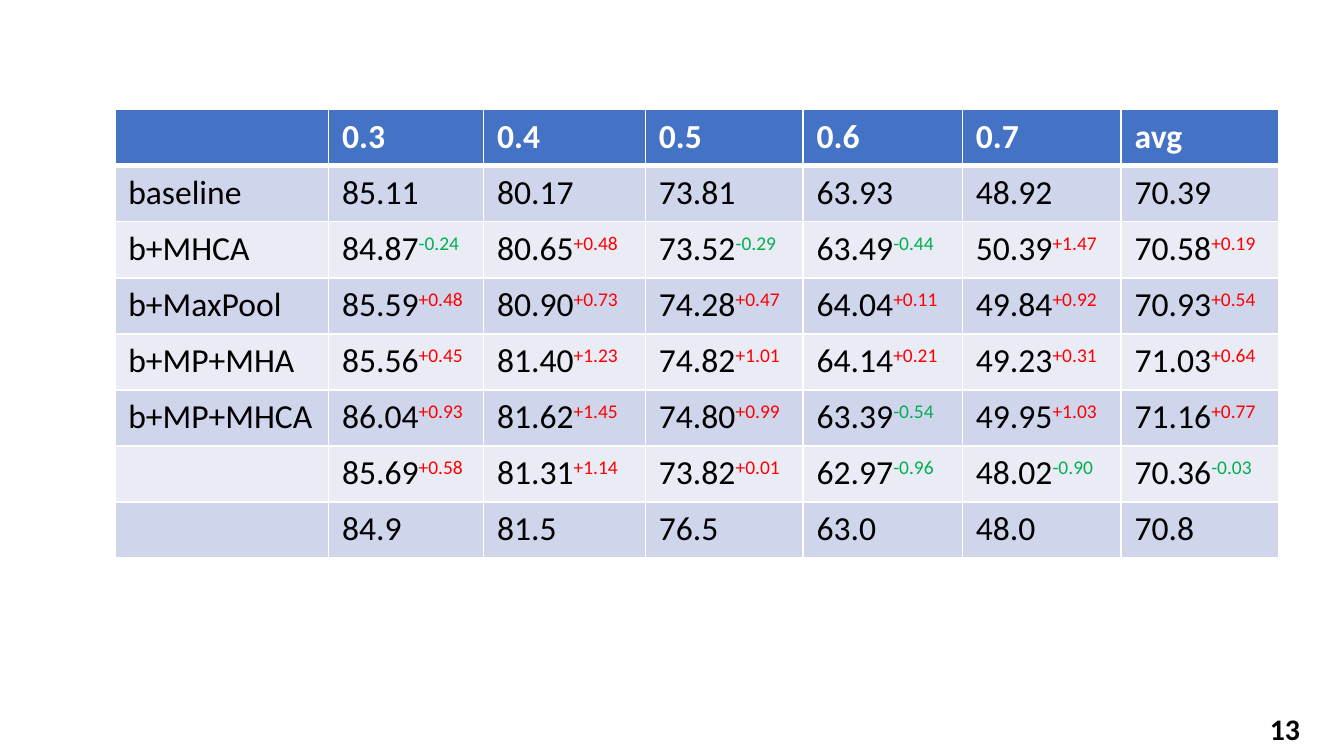
from lxml.etree import SubElement
from pptx import Presentation
from pptx.dml.color import RGBColor
from pptx.oxml.ns import qn
from pptx.util import Cm, Pt


def rgb(value):
    return RGBColor.from_string(value)


def add_border(cell, side, width):
    ln = SubElement(cell._tc.get_or_add_tcPr(), qn(f"a:ln{side}"), w=str(Pt(width)))
    fill = SubElement(ln, qn("a:solidFill"))
    SubElement(fill, qn("a:srgbClr"), val="FFFFFF")


prs = Presentation()
prs.slide_width, prs.slide_height = Cm(25.4), Cm(14.29)
s = prs.slides.add_slide(prs.slide_layouts[6])

rows = [
    ["", "0.3", "0.4", "0.5", "0.6", "0.7", "avg"],
    ["baseline", "85.11", "80.17", "73.81", "63.93", "48.92", "70.39"],
    ["b+MHCA", "84.87", "80.65", "73.52", "63.49", "50.39", "70.58"],
    ["b+MaxPool", "85.59", "80.90", "74.28", "64.04", "49.84", "70.93"],
    ["b+MP+MHA", "85.56", "81.40", "74.82", "64.14", "49.23", "71.03"],
    ["b+MP+MHCA", "86.04", "81.62", "74.80", "63.39", "49.95", "71.16"],
    ["", "85.69", "81.31", "73.82", "62.97", "48.02", "70.36"],
    ["", "84.9", "81.5", "76.5", "63.0", "48.0", "70.8"],
]
baseline = rows[1]
compared_rows = range(2, 7)
col_widths = [4.04, 2.93, 3.06, 2.98, 3.01, 3.0, 2.98]
row_height = 1.06

table = s.shapes.add_table(
    len(rows), len(col_widths), Cm(2.17), Cm(2.07),
    Cm(sum(col_widths)), Cm(row_height * len(rows)),
).table
for col, width in zip(table.columns, col_widths):
    col.width = Cm(width)
for row in table.rows:
    row.height = Cm(row_height)

for i, values in enumerate(rows):
    header = i == 0
    for j, value in enumerate(values):
        cell = table.cell(i, j)
        for side in "LRTB":
            thick = (header and side == "B") or (i == 1 and side == "T")
            add_border(cell, side, 3 if thick else 1)
        cell.fill.solid()
        band = "CFD5EA" if i % 2 else "E9EBF5"
        cell.fill.fore_color.rgb = rgb("4472C4" if header else band)

        p = cell.text_frame.paragraphs[0]
        p.font.name, p.font.size, p.font.bold = "Calibri", Pt(18), header
        p.font.color.rgb = rgb("FFFFFF" if header else "000000")
        if value:
            p.add_run().text = value
        if i in compared_rows and j > 0:
            change = float(value) - float(baseline[j])
            r = p.add_run()
            r.text = f"{change:+.2f}"
            r.font.color.rgb = rgb("FF0000" if change > 0 else "00B050")
            r.font._element.set("baseline", "30000")

page_number = s.shapes.add_textbox(Cm(23.75), Cm(13.31), Cm(1.45), Cm(0.81))
tf = page_number.text_frame
tf.word_wrap = True
p = tf.paragraphs[0]
p.text = "13"
p.font.name, p.font.size, p.font.bold = "Calibri", Pt(16), True
p.font.color.rgb = rgb("000000")

prs.save("out.pptx")
